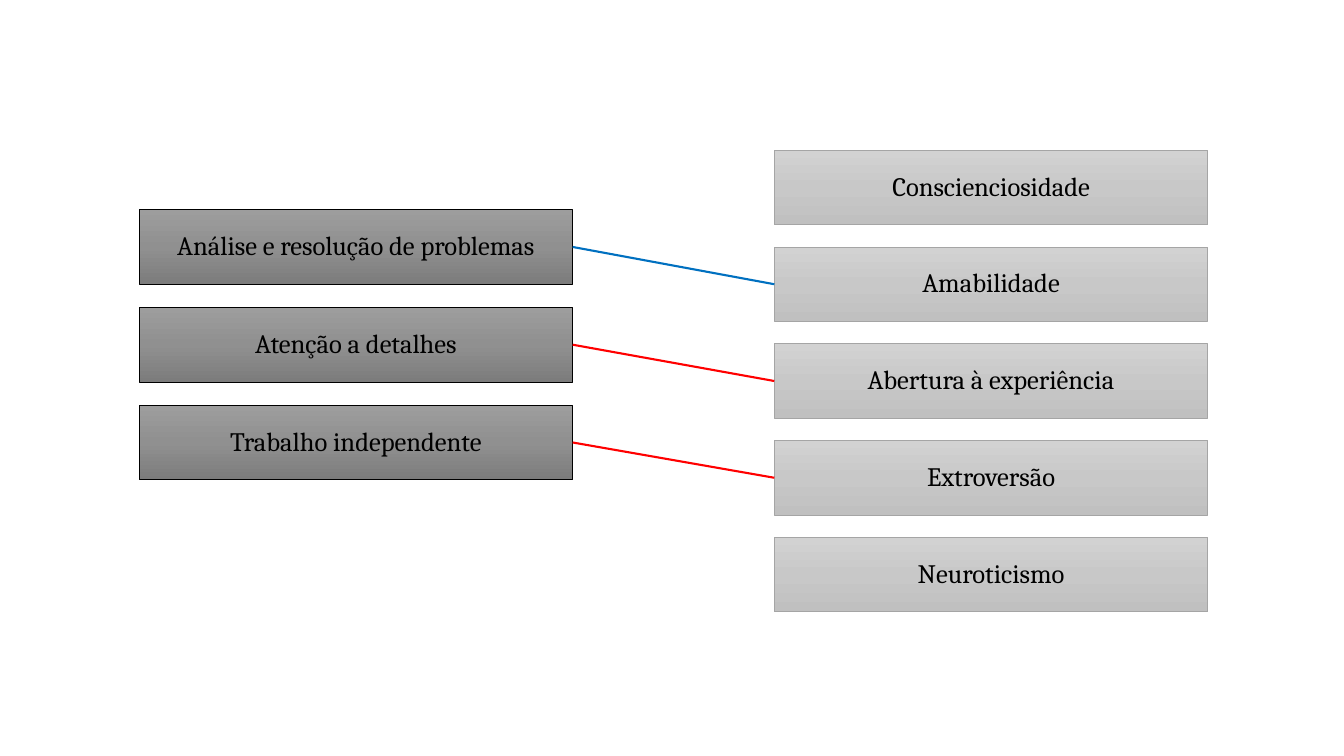
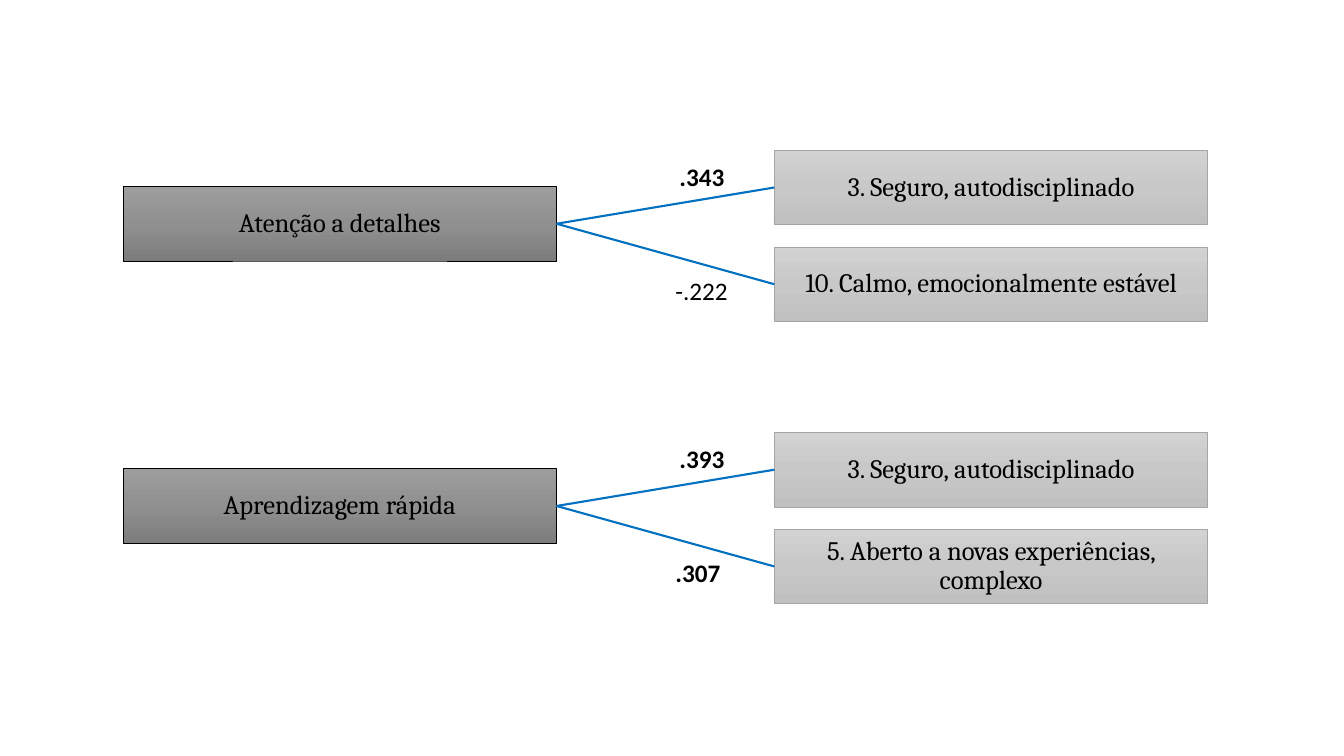
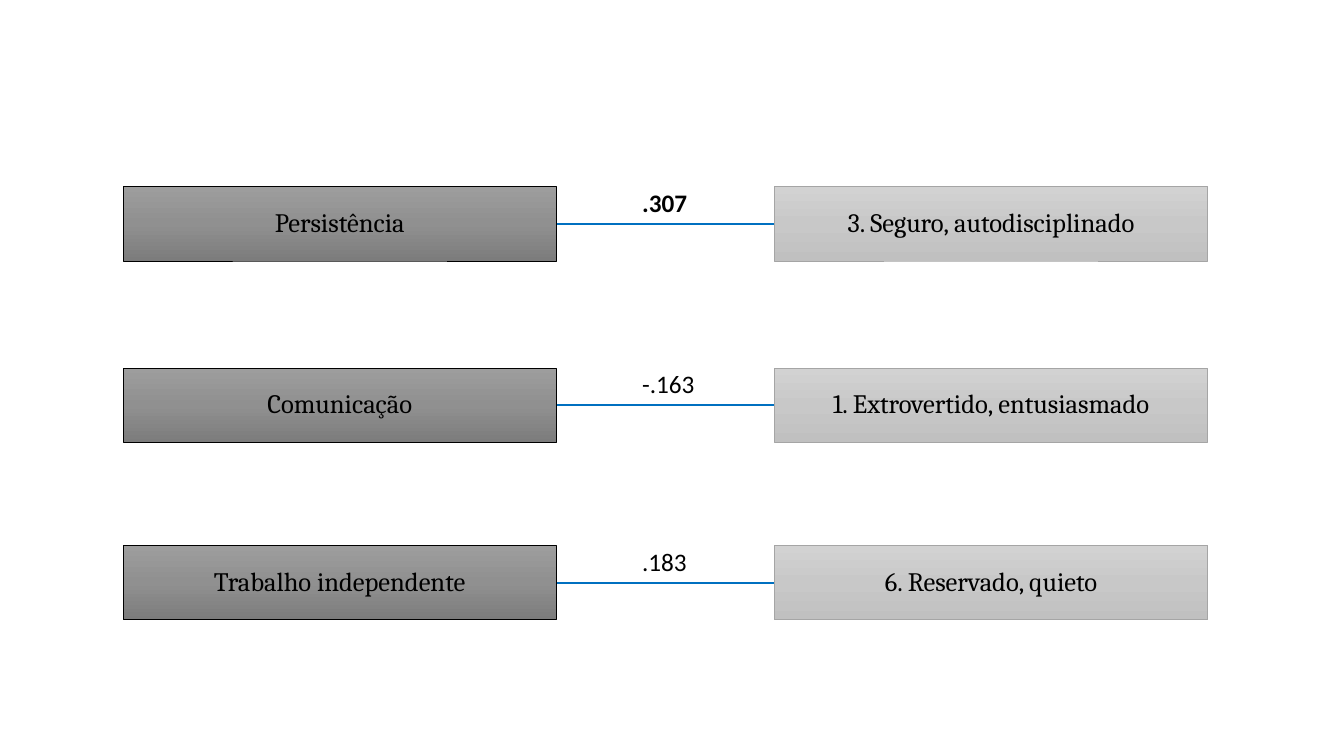
"""Build three slides that link work competences to personality traits."""
from copy import deepcopy
from dataclasses import dataclass

from pptx import Presentation
from pptx.dml.color import RGBColor
from pptx.enum.shapes import MSO_CONNECTOR as Connector, MSO_SHAPE as Preset
from pptx.enum.text import MSO_ANCHOR as Anchor, MSO_AUTO_SIZE as AutoSize, PP_ALIGN as Align
from pptx.oxml.ns import qn
from pptx.oxml.xmlchemy import OxmlElement
from pptx.shapes.autoshape import Shape
from pptx.slide import Slide
from pptx.util import Inches, Pt

BLACK, BLUE, RED = "000000", "0070C0", "FF0000"
BOX_WIDTH, BOX_HEIGHT = 4.3, 0.74
COMPETENCE_LEFT, TRAIT_LEFT = 1.22, 7.68
TRAIT_PITCH = 0.96
LEFT_SITE, RIGHT_SITE = 1, 3


@dataclass(frozen=True)
class BoxStyle:
    gradient: tuple[str, str, str]
    outline: str


@dataclass(frozen=True)
class Box:
    text: str
    left: float
    top: float
    style: BoxStyle


@dataclass(frozen=True)
class Coefficient:
    text: str
    left: float
    top: float
    bold: bool


@dataclass(frozen=True)
class Fork:
    competence: str
    traits: tuple[str, str]
    values: tuple[str, str]
    bold: tuple[bool, bool]


@dataclass(frozen=True)
class Pair:
    competence: str
    trait: str
    value: str
    bold: bool
    top: float


COMPETENCE = BoxStyle(("9D9D9D", "909090", "7C7C7C"), BLACK)
TRAIT = BoxStyle(("D2D2D2", "C8C8C8", "C0C0C0"), "A5A5A5")


def rgb(value: str) -> RGBColor:
    return RGBColor.from_string(value)


def fill_gradient(shape: Shape, colours: tuple[str, str, str]) -> None:
    shape.fill.gradient()
    shape.fill.gradient_angle = 270
    stop_list = shape.fill._xPr.find(qn("a:gradFill")).find(qn("a:gsLst"))
    stop_list.insert(1, deepcopy(stop_list[0]))
    for index, (stop, colour) in enumerate(zip(shape.fill.gradient_stops, colours)):
        stop.position = index / 2
        stop.color.rgb = rgb(colour)


def add_text(shape: Shape, text: str, font: str, size: int, bold: bool = False) -> None:
    run = shape.text_frame.paragraphs[0].add_run()
    run.text = text
    run.font.name = font
    run.font.size = Pt(size)
    run.font.bold = bold
    run.font.color.rgb = rgb(BLACK)


def add_box(slide: Slide, box: Box) -> Shape:
    shape = slide.shapes.add_shape(
        Preset.RECTANGLE, Inches(box.left), Inches(box.top), Inches(BOX_WIDTH), Inches(BOX_HEIGHT)
    )
    shape.shadow.inherit = False
    fill_gradient(shape, box.style.gradient)
    shape.line.color.rgb = rgb(box.style.outline)
    shape.line.width = Pt(0.5)
    frame = shape.text_frame
    frame.word_wrap = True
    frame.vertical_anchor = Anchor.MIDDLE
    frame.margin_left = frame.margin_right = frame.margin_top = frame.margin_bottom = Inches(0.01)
    paragraph = frame.paragraphs[0]
    paragraph.alignment = Align.CENTER
    paragraph.line_spacing = 0.9
    add_text(shape, box.text, "Cambria", 19)
    return shape


def add_link(slide: Slide, competence: Shape, trait: Shape, colour: str = BLUE) -> None:
    connector = slide.shapes.add_connector(Connector.STRAIGHT, 0, 0, 0, 0)
    connector.begin_connect(competence, RIGHT_SITE)
    connector.end_connect(trait, LEFT_SITE)
    connector.line.color.rgb = rgb(colour)
    connector.line.width = Pt(1.5)
    connector._element.spPr.append(OxmlElement("a:effectLst"))


def add_coefficient(slide: Slide, label: Coefficient) -> None:
    width = 0.73 if label.text.startswith("-") else 0.65
    shape = slide.shapes.add_textbox(
        Inches(label.left), Inches(label.top), Inches(width), Inches(0.4)
    )
    shape.text_frame.word_wrap = False
    shape.text_frame.auto_size = AutoSize.SHAPE_TO_FIT_TEXT
    add_text(shape, label.text, "Calibri", 18, label.bold)


def add_fork(slide: Slide, fork: Fork, top: float) -> None:
    competence = add_box(slide, Box(fork.competence, COMPETENCE_LEFT, top + 0.36, COMPETENCE))
    for index, text in enumerate(fork.traits):
        trait = add_box(slide, Box(text, TRAIT_LEFT, top + index * TRAIT_PITCH, TRAIT))
        add_link(slide, competence, trait)
    for text, bold, left, offset in zip(fork.values, fork.bold, (6.64, 6.6), (0.06, 1.19)):
        add_coefficient(slide, Coefficient(text, left, top + offset, bold))


def add_pair(slide: Slide, pair: Pair) -> None:
    competence = add_box(slide, Box(pair.competence, COMPETENCE_LEFT, pair.top, COMPETENCE))
    trait = add_box(slide, Box(pair.trait, TRAIT_LEFT, pair.top, TRAIT))
    add_link(slide, competence, trait)
    add_coefficient(slide, Coefficient(pair.value, 6.27, pair.top - 0.04, pair.bold))


def build_hypotheses(slide: Slide) -> None:
    competences = [
        add_box(slide, Box(text, 1.38, 2.08 + index * 0.97, COMPETENCE))
        for index, text in enumerate(
            ("Análise e resolução de problemas", "Atenção a detalhes", "Trabalho independente")
        )
    ]
    traits = [
        add_box(slide, Box(text, TRAIT_LEFT, 1.49 + index * TRAIT_PITCH, TRAIT))
        for index, text in enumerate(
            ("Conscienciosidade", "Amabilidade", "Abertura à experiência", "Extroversão", "Neuroticismo")
        )
    ]
    for competence, trait, colour in zip(competences, traits[1:], (BLUE, RED, RED)):
        add_link(slide, competence, trait, colour)


def build_forks(slide: Slide) -> None:
    forks = (
        Fork(
            "Atenção a detalhes",
            ("3. Seguro, autodisciplinado", "10. Calmo, emocionalmente estável"),
            (".343", "-.222"),
            (True, False),
        ),
        Fork(
            "Aprendizagem rápida",
            ("3. Seguro, autodisciplinado", "5. Aberto a novas experiências, complexo"),
            (".393", ".307"),
            (True, True),
        ),
    )
    for index, fork in enumerate(forks):
        add_fork(slide, fork, 1.49 + index * 2.8)


def build_pairs(slide: Slide) -> None:
    for pair in (
        Pair("Persistência", "3. Seguro, autodisciplinado", ".307", True, 1.85),
        Pair("Comunicação", "1. Extrovertido, entusiasmado", "-.163", False, 3.65),
        Pair("Trabalho independente", "6. Reservado, quieto", ".183", False, 5.41),
    ):
        add_pair(slide, pair)


def main() -> None:
    presentation = Presentation()
    presentation.slide_width = Inches(13.33)
    presentation.slide_height = Inches(7.5)
    blank_layout = presentation.slide_layouts[6]
    for build in (build_hypotheses, build_forks, build_pairs):
        build(presentation.slides.add_slide(blank_layout))
    presentation.save("out.pptx")


main()
